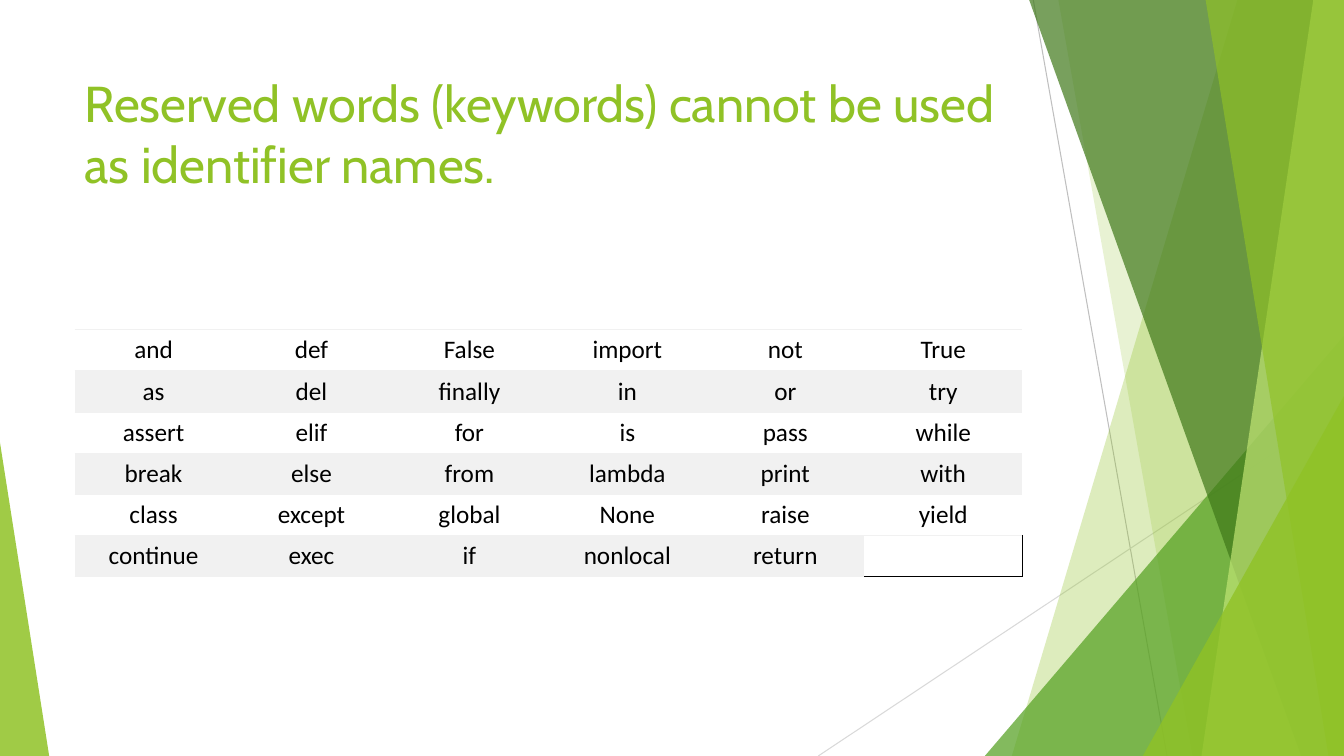
from lxml import etree
from pptx import Presentation
from pptx import util as u
from pptx.dml.color import RGBColor
from pptx.enum import shapes, text
from pptx.oxml.ns import qn

SLIDE_WIDTH, SLIDE_HEIGHT = 33.87, 19.05
LEAF, BAND, BLACK = "90C226", "F1F1F1", "000000"

KEYWORDS = [
    ["and", "def", "False", "import", "not", "True"],
    ["as", "del", "finally", "in", "or", "try"],
    ["assert", "elif", "for", "is", "pass", "while"],
    ["break", "else", "from", "lambda", "print", "with"],
    ["class", "except", "global", "None", "raise", "yield"],
    ["continue", "exec", "if", "nonlocal", "return", ""],
]


def color(hex_value):
    return RGBColor.from_string(hex_value)


def write(frame, words, font, size, ink, align, anchor):
    frame.word_wrap = True
    frame.vertical_anchor = anchor
    paragraph = frame.paragraphs[0]
    paragraph.alignment = align
    run = paragraph.add_run()
    run.text = words
    run.font.name = font
    run.font.size = u.Pt(size)
    run.font.color.rgb = color(ink)


def paint(facet, fill, opacity):
    facet.shadow.inherit = False
    facet.line.fill.background()
    facet.fill.solid()
    facet.fill.fore_color.rgb = color(fill)
    tint = facet.fill._xPr.find(qn("a:solidFill"))[0]
    etree.SubElement(tint, qn("a:alpha")).set("val", str(opacity * 1000))


def add_ray(slide, start, end, ink):
    ray = slide.shapes.add_connector(
        shapes.MSO_CONNECTOR.STRAIGHT, *map(u.Cm, start + end))
    ray.line.color.rgb = color(ink)
    ray.line.width = u.Pt(0.75)
    etree.SubElement(ray._element.spPr, qn("a:effectLst"))


def add_pane(slide, top_x, bottom_x, fill, opacity):
    top = -0.02
    corners = [(SLIDE_WIDTH, top), (SLIDE_WIDTH, SLIDE_HEIGHT),
               (bottom_x, SLIDE_HEIGHT)]
    outline = slide.shapes.build_freeform(u.Cm(top_x), u.Cm(top))
    outline.add_line_segments([(u.Cm(x), u.Cm(y)) for x, y in corners])
    paint(outline.convert_to_shape(), fill, opacity)


def add_wedge(slide, left, top, width, apex, fill, opacity):
    wedge = slide.shapes.add_shape(
        shapes.MSO_SHAPE.ISOSCELES_TRIANGLE,
        *map(u.Cm, (left, top, width, SLIDE_HEIGHT - top)))
    wedge.adjustments[0] = apex
    paint(wedge, fill, opacity)


def add_facets(slide):
    add_ray(slide, (26.04, 0), (29.41, SLIDE_HEIGHT), "BFBFBF")
    add_ray(slide, (SLIDE_WIDTH, 10.24), (20.62, SLIDE_HEIGHT), "D9D9D9")
    add_pane(slide, 31.19, 25.5, LEAF, 30)
    add_pane(slide, 26.67, 30.05, LEAF, 20)
    add_wedge(slide, 24.82, 8.46, 9.05, 1, "54A021", 72)
    add_pane(slide, 25.93, 32.79, "3F7819", 70)
    add_pane(slide, 33.1, 30.28, "C0E474", 70)
    add_pane(slide, 30.38, 33.48, LEAF, 65)
    add_wedge(slide, 28.8, 9.98, 5.07, 1, LEAF, 80)
    add_wedge(slide, 0, 11.15, 1.24, 0, LEAF, 85)


def set_borders(cell, **inks):
    properties = cell._tc.get_or_add_tcPr()
    for position, side in enumerate("LRTB"):
        edge = etree.Element(qn(f"a:ln{side}"), w=str(u.Pt(0.75)))
        if side in inks:
            ink = etree.SubElement(edge, qn("a:solidFill"))
            etree.SubElement(ink, qn("a:srgbClr"), val=inks[side])
        else:
            etree.SubElement(edge, qn("a:noFill"))
        properties.insert(position, edge)


def add_keyword_table(slide):
    rows, columns = len(KEYWORDS), len(KEYWORDS[0])
    grid = slide.shapes.add_table(
        rows, columns, u.Cm(1.88), u.Cm(8.31), u.Cm(23.88), u.Cm(6.15)).table
    grid.first_row = grid.horz_banding = False
    for row, keywords in enumerate(KEYWORDS):
        for column, keyword in enumerate(keywords):
            cell = grid.cell(row, column)
            cell.margin_left = cell.margin_right = u.Cm(0.13)
            cell.margin_top = cell.margin_bottom = u.Cm(0.13)
            if row % 2 and keyword:
                cell.fill.solid()
                cell.fill.fore_color.rgb = color(BAND)
            else:
                cell.fill.background()
            if keyword:
                cell.vertical_anchor = text.MSO_ANCHOR.MIDDLE
                write(cell.text_frame, keyword, font="Calibri", size=18,
                      ink=BLACK, align=text.PP_ALIGN.CENTER,
                      anchor=text.MSO_ANCHOR.TOP)
                set_borders(cell, T=BAND, B=BAND)
            else:
                set_borders(cell, R=BLACK, T=BAND, B=BLACK)


def add_title(slide, words):
    title = slide.shapes.title
    title.left, title.top = u.Cm(1.88), u.Cm(1.7)
    title.width, title.height = u.Cm(23.88), u.Cm(3.66)
    title.text_frame.auto_size = text.MSO_AUTO_SIZE.NONE
    write(title.text_frame, words, font="Cabin", size=36, ink=LEAF,
          align=text.PP_ALIGN.LEFT, anchor=text.MSO_ANCHOR.TOP)


def main():
    deck = Presentation()
    deck.slide_width, deck.slide_height = u.Cm(SLIDE_WIDTH), u.Cm(SLIDE_HEIGHT)
    slide = deck.slides.add_slide(deck.slide_layouts[5])
    add_facets(slide)
    add_title(
        slide, "Reserved words (keywords) cannot be used as identifier names.")
    add_keyword_table(slide)
    deck.save("out.pptx")


if __name__ == "__main__":
    main()
